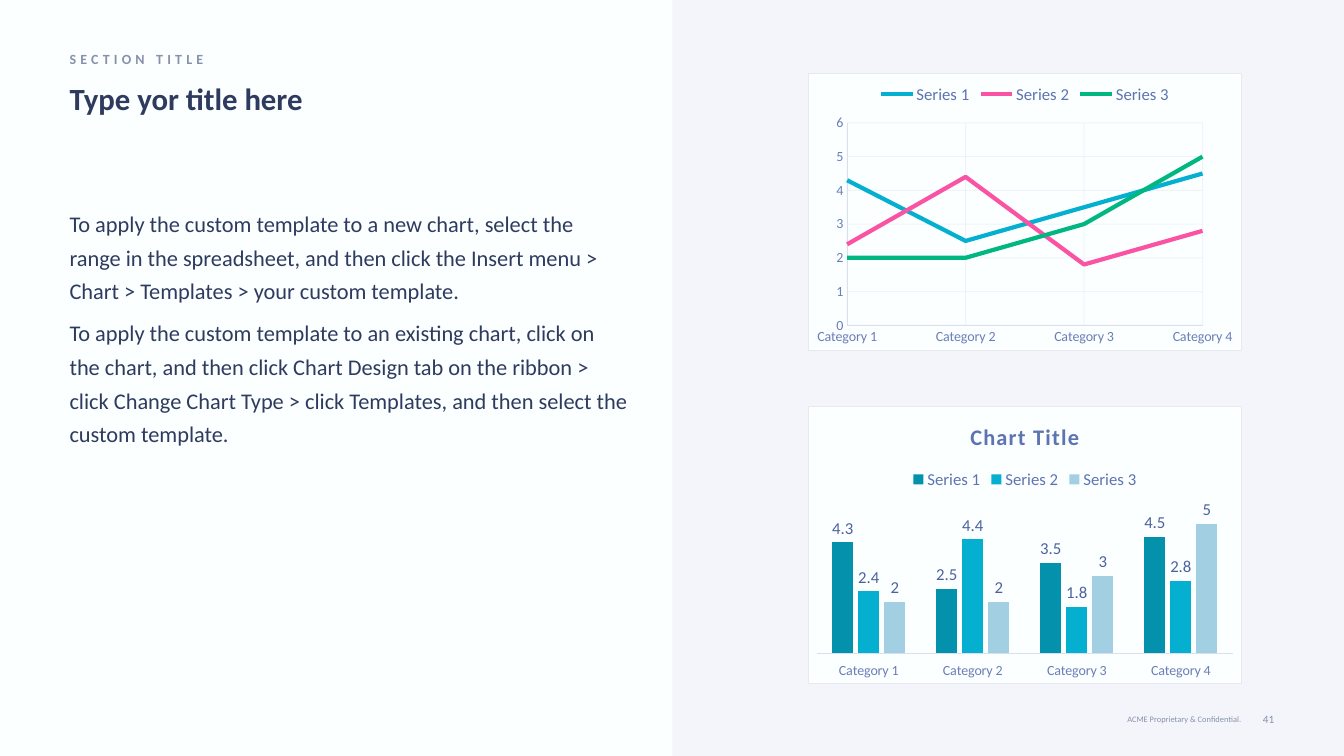
from dataclasses import dataclass

from lxml.etree import SubElement
from pptx import Presentation
from pptx.chart.data import CategoryChartData
from pptx.dml.color import RGBColor
from pptx.enum.chart import (XL_CHART_TYPE, XL_LABEL_POSITION, XL_LEGEND_POSITION,
                             XL_TICK_LABEL_POSITION, XL_TICK_MARK)
from pptx.enum.shapes import MSO_SHAPE
from pptx.enum.text import MSO_ANCHOR, MSO_AUTO_SIZE, PP_ALIGN
from pptx.oxml import parse_xml
from pptx.oxml.ns import nsdecls, qn
from pptx.util import Inches, Pt


@dataclass(frozen=True)
class Theme:
    font: str = "Calibri"
    background: str = "FBFFFF"
    panel: str = "F3F5FB"
    text: str = "2E3B5F"
    muted: str = "8791AA"
    legend: str = "5D74B1"
    axis_text: str = "6A7EB7"
    axis_line: str = "DADFED"
    label: str = "4C629D"
    border: str = "E7E9EE"
    line_series: tuple = ("05AFD0", "FA53A4", "00B681")
    column_series: tuple = ("0491AC", "05AFD0", "A2D0E2")
    title_size: int = 22
    body_size: int = 16
    chart_title_size: int = 16
    legend_size: int = 12
    small_size: int = 10
    number_size: int = 8
    footer_size: int = 6


THEME = Theme()
INSTRUCTIONS = (
    "To apply the custom template to a new chart, select the range in the spreadsheet, "
    "and then click the Insert menu > Chart > Templates > your custom template.",
    "To apply the custom template to an existing chart, click on the chart, and then click "
    "Chart Design tab on the ribbon > click Change Chart Type > click Templates, "
    "and then select the custom template.",
)
CATEGORIES = [f"Category {number}" for number in range(1, 5)]
SERIES = {
    "Series 1": (4.3, 2.5, 3.5, 4.5),
    "Series 2": (2.4, 4.4, 1.8, 2.8),
    "Series 3": (2, 2, 3, 5),
}


def style_font(font, size, color, bold=False):
    font.name, font.size, font.bold = THEME.font, Pt(size), bold
    font.color.rgb = RGBColor.from_string(color)


def fill_text(shape, paragraphs, size, color, bold=False, anchor=MSO_ANCHOR.TOP,
              align=PP_ALIGN.LEFT, margins=(0, 0, 0, 0)):
    """Write styled paragraphs; margins are left, top, right, bottom in inches."""
    frame = shape.text_frame
    frame.word_wrap, frame.auto_size = True, MSO_AUTO_SIZE.NONE
    frame.vertical_anchor = anchor
    (frame.margin_left, frame.margin_top,
     frame.margin_right, frame.margin_bottom) = map(Inches, margins)
    frame.text = "\n".join(paragraphs)
    for paragraph in frame.paragraphs:
        paragraph.alignment = align
        style_font(paragraph.font, size, color, bold)
    return frame


def add_text(slide, box, *args, **kwargs):
    return fill_text(slide.shapes.add_textbox(*map(Inches, box)), *args, **kwargs)


def add_panel(slide, box):
    panel = slide.shapes.add_shape(MSO_SHAPE.RECTANGLE, *map(Inches, box))
    panel.shadow.inherit = False
    panel.fill.solid()
    panel.fill.fore_color.rgb = RGBColor.from_string(THEME.panel)
    panel.line.fill.background()


def add_heading(slide, box):
    left, top, width, height = box
    section = add_text(slide, (left, top, 3.97, 0.25), ["SECTION TITLE"],
                       THEME.small_size, THEME.muted, bold=True, anchor=MSO_ANCHOR.MIDDLE)
    section.paragraphs[0].runs[0].font._element.set("spc", "300")
    title = slide.shapes.title
    title.left, title.top = Inches(left), Inches(top + 0.33)
    title.width, title.height = Inches(width), Inches(height - 0.33)
    fill_text(title, ["Type yor title here"], THEME.title_size, THEME.text, bold=True)


def add_instructions(slide, box):
    frame = add_text(slide, box, INSTRUCTIONS, THEME.body_size, THEME.text,
                     margins=(0, 0.05, 0.1, 0.05))
    for index, paragraph in enumerate(frame.paragraphs):
        paragraph.line_spacing = Pt(24)
        if index:
            paragraph.space_before = Pt(6)


def add_footer(slide, box):
    left, top, width, height = box
    add_text(slide, (left, top, 1.88, height), ["ACME Proprietary & Confidential."],
             THEME.footer_size, THEME.muted, anchor=MSO_ANCHOR.MIDDLE, align=PP_ALIGN.RIGHT)
    add_text(slide, (left + width - 0.27, top, 0.27, height), ["41"],
             THEME.number_size, THEME.muted, anchor=MSO_ANCHOR.MIDDLE, align=PP_ALIGN.RIGHT)


def style_line(line, color, width):
    line.color.rgb = RGBColor.from_string(color)
    line.width = Pt(width)


def style_axis(axis, line_width):
    axis.major_tick_mark = axis.minor_tick_mark = XL_TICK_MARK.NONE
    style_font(axis.tick_labels.font, THEME.small_size, THEME.axis_text)
    style_line(axis.format.line, THEME.axis_line, line_width)


def place_plot(chart, x, y, w, h):
    """Fix the inner plot area, as fractions of the chart."""
    plot_area = chart.element.find(".//" + qn("c:plotArea"))
    for automatic in plot_area.findall(qn("c:layout")):
        plot_area.remove(automatic)
    layout = parse_xml(f"<c:layout {nsdecls('c')}><c:manualLayout/></c:layout>")
    settings = dict(layoutTarget="inner", xMode="edge", yMode="edge", x=x, y=y, w=w, h=h)
    for name, value in settings.items():
        SubElement(layout[0], qn(f"c:{name}")).set("val", str(value))
    plot_area.insert(0, layout)


def add_chart_card(slide, box, chart_type):
    """Add a bordered chart with its legend on top."""
    data = CategoryChartData()
    data.categories = CATEGORIES
    for name, values in SERIES.items():
        data.add_series(name, values)
    chart = slide.shapes.add_chart(chart_type, *map(Inches, box), data).chart
    style_font(chart.font, THEME.small_size, THEME.text)
    chart.has_title = False
    chart.has_legend = True
    chart.legend.position = XL_LEGEND_POSITION.TOP
    chart.legend.include_in_layout = False
    style_font(chart.legend.font, THEME.legend_size, THEME.legend)
    chart.plots[0].vary_by_categories = False
    chart.value_axis.minimum_scale, chart.value_axis.maximum_scale = 0, 6
    chart.element.find(qn("c:chart")).addnext(parse_xml(
        f'<c:spPr {nsdecls("c", "a")}>'
        f'<a:solidFill><a:srgbClr val="{THEME.background}"/></a:solidFill>'
        f'<a:ln w="{Pt(0.75)}"><a:solidFill><a:srgbClr val="{THEME.border}"/></a:solidFill></a:ln>'
        '</c:spPr>'))
    return chart


def add_line_chart(slide, box):
    chart = add_chart_card(slide, box, XL_CHART_TYPE.LINE)
    place_plot(chart, 0.09, 0.18, 0.82, 0.73)
    for axis in (chart.category_axis, chart.value_axis):
        style_axis(axis, 0.25)
        axis.has_major_gridlines = True
        grid = axis.major_gridlines.format.line
        style_line(grid, THEME.axis_line, 0.75)
        color = axis.major_gridlines._xAx.find(f"{qn('c:majorGridlines')}//{qn('a:srgbClr')}")
        SubElement(color, qn("a:alpha")).set("val", "32000")
    value_axis = chart.element.find(".//" + qn("c:valAx"))
    for crossing in value_axis.findall(qn("c:crossBetween")):
        value_axis.remove(crossing)
    value_axis.find(qn("c:crosses")).addnext(
        parse_xml(f'<c:crossBetween {nsdecls("c")} val="midCat"/>'))
    for series, color in zip(chart.series, THEME.line_series):
        series.smooth = False
        style_line(series.format.line, color, 3)


def add_column_chart(slide, box):
    chart = add_chart_card(slide, box, XL_CHART_TYPE.COLUMN_CLUSTERED)
    place_plot(chart, 0.02, 0.33, 0.96, 0.56)
    chart.has_title = True
    heading = chart.chart_title.text_frame
    heading.text = "Chart Title"
    heading_font = heading.paragraphs[0].runs[0].font
    style_font(heading_font, THEME.chart_title_size, THEME.legend, bold=True)
    heading_font._element.set("spc", "100")
    chart.value_axis.has_major_gridlines = False
    chart.value_axis.visible = False
    style_axis(chart.category_axis, 0.75)
    chart.category_axis.tick_label_position = XL_TICK_LABEL_POSITION.LOW
    columns = chart.plots[0]
    columns.gap_width, columns.overlap = 150, -25
    for series, color in zip(columns.series, THEME.column_series):
        series.format.fill.solid()
        series.format.fill.fore_color.rgb = RGBColor.from_string(color)
        labels = series.data_labels
        labels.show_value, labels.position = True, XL_LABEL_POSITION.OUTSIDE_END
        style_font(labels.font, THEME.legend_size, THEME.label)


def main():
    deck = Presentation()
    deck.slide_width, deck.slide_height = Inches(13.33), Inches(7.5)
    slide = deck.slides.add_slide(deck.slide_layouts[5])
    slide.background.fill.solid()
    slide.background.fill.fore_color.rgb = RGBColor.from_string(THEME.background)
    add_panel(slide, (6.67, 0, 6.66, 7.5))
    add_heading(slide, (0.69, 0.46, 5.12, 0.7))
    add_instructions(slide, (0.69, 1.97, 5.64, 4.82))
    add_line_chart(slide, (8.01, 0.72, 4.31, 2.76))
    add_column_chart(slide, (8.01, 4.03, 4.31, 2.76))
    add_footer(slide, (10.43, 7.01, 2.21, 0.24))
    deck.save("out.pptx")


if __name__ == "__main__":
    main()
